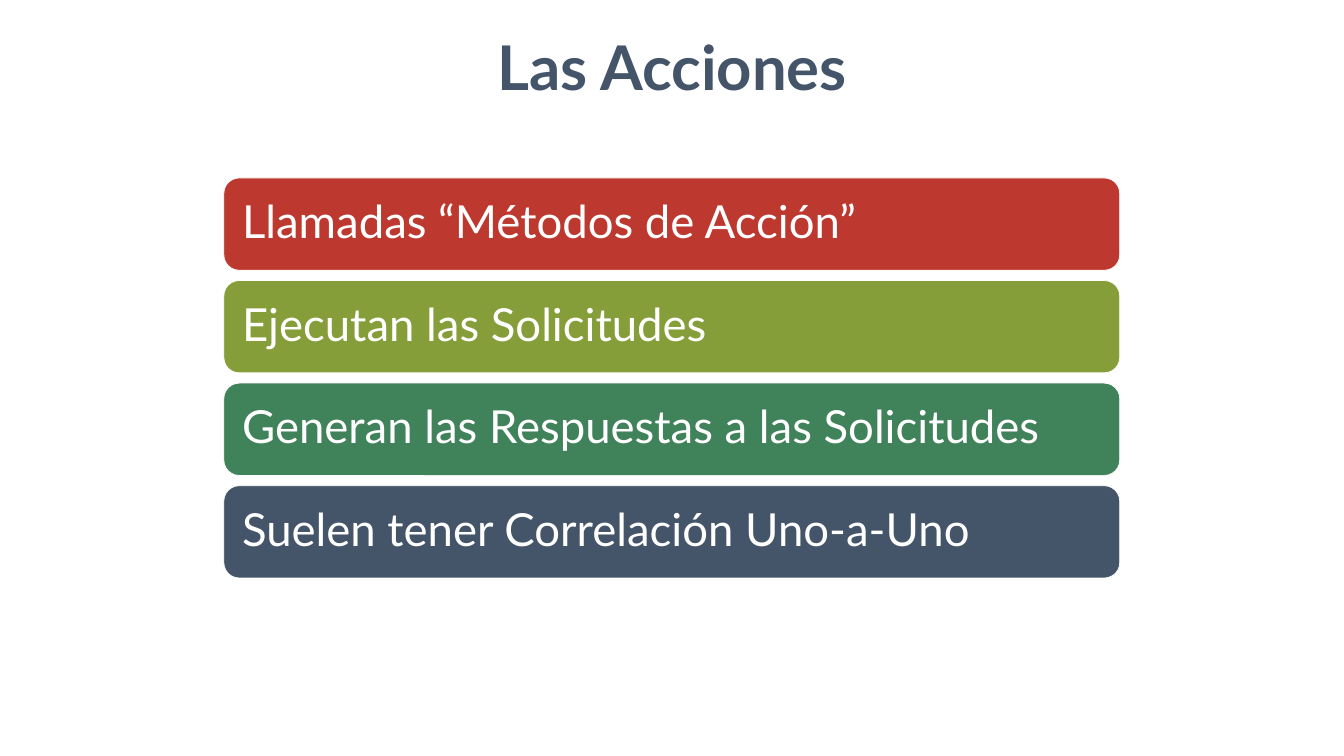
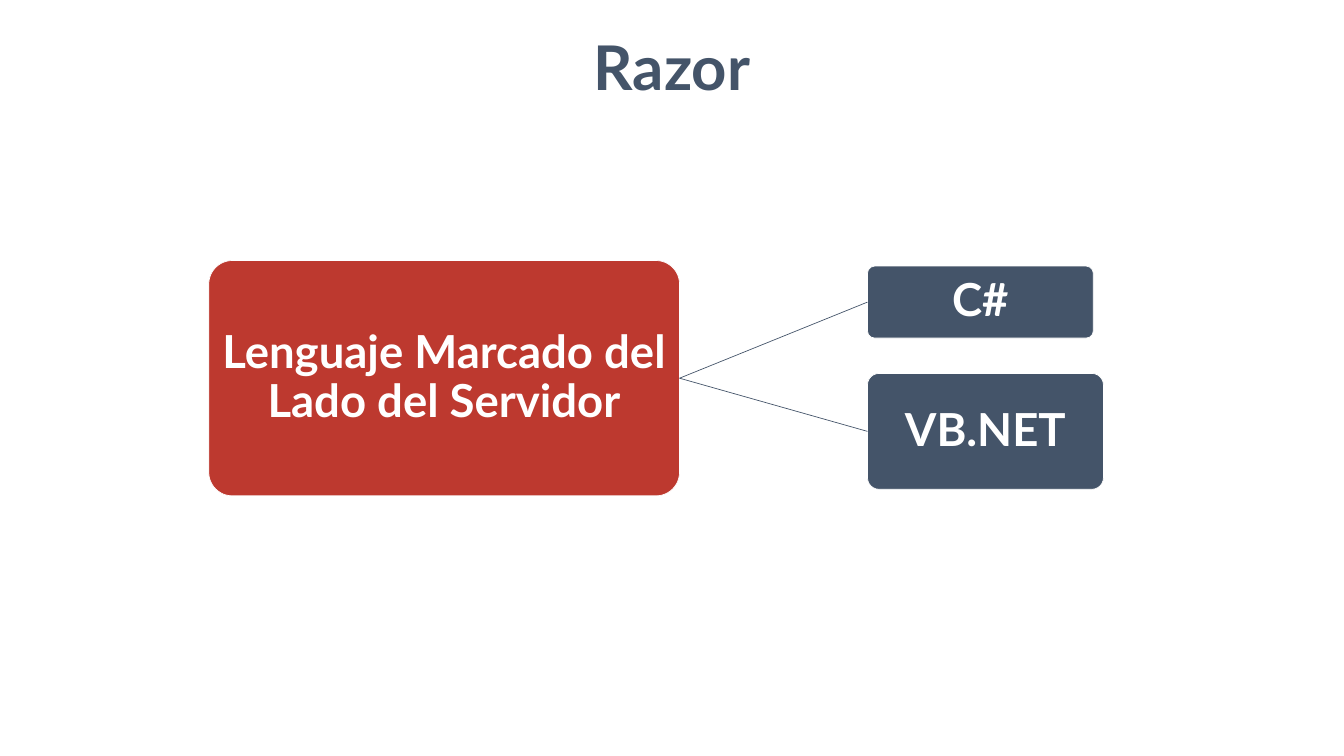
from dataclasses import dataclass

from lxml import etree
from pptx import Presentation
from pptx.dml.color import RGBColor
from pptx.enum.shapes import MSO_CONNECTOR, MSO_SHAPE
from pptx.enum.text import MSO_ANCHOR, MSO_AUTO_SIZE, PP_ALIGN
from pptx.oxml.ns import qn
from pptx.util import Cm, Pt

ROUNDED = MSO_SHAPE.ROUNDED_RECTANGLE
STRAIGHT = MSO_CONNECTOR.STRAIGHT
TOP, MIDDLE = MSO_ANCHOR.TOP, MSO_ANCHOR.MIDDLE
LEFT, CENTER = PP_ALIGN.LEFT, PP_ALIGN.CENTER
NO_FIT = MSO_AUTO_SIZE.NONE

FONT = "Lato"
RED, OLIVE, GREEN, SLATE, WHITE = "BD392F", "869E39", "40825A", "445469", "FFFFFF"
TITLE_SIZE, LABEL_SIZE = 88, 65
LEFT_SITE, RIGHT_SITE = 1, 3

ACTIONS = [
    ("Llamadas “Métodos de Acción”", RED),
    ("Ejecutan las Solicitudes", OLIVE),
    ("Generan las Respuestas a las Solicitudes", GREEN),
    ("Suelen tener Correlación Uno-a-Uno", SLATE),
]
ACTION_TOP, ACTION_PITCH = 8.97, 5.17


@dataclass
class Card:
    """A rounded box with a label; lengths are in centimetres."""

    text: str
    fill: str
    left: float
    top: float
    width: float
    height: float
    corner: float = 0.1
    inset: float = 0.13
    align: PP_ALIGN = CENTER
    bold: bool = True


LANGUAGE = Card("Lenguaje Marcado del Lado del Servidor", RED, 10.52, 13.13, 23.72, 11.86)
SYNTAXES = [
    Card("C#", SLATE, 43.71, 13.41, 11.38, 3.63),
    Card("VB.NET", SLATE, 43.71, 18.82, 11.89, 5.84),
]


def color(value: str) -> RGBColor:
    """Turn a hex string into a colour."""
    return RGBColor.from_string(value)


def style_paragraph(para, size: float, value: str, bold: bool, align: PP_ALIGN) -> None:
    """Set the font and alignment of a paragraph."""
    para.alignment = align
    para.font.name = FONT
    para.font.size = Pt(size)
    para.font.bold = bold
    para.font.color.rgb = color(value)


def add_titled_page(deck, text: str):
    """Add a title-only slide and format its title."""
    page = deck.slides.add_slide(deck.slide_layouts[5])
    title = page.shapes.title
    title.left, title.top, title.width, title.height = Cm(16.69), Cm(1.35), Cm(34.34), Cm(4.01)
    frame = title.text_frame
    frame.text = text
    frame.auto_size = NO_FIT
    frame.vertical_anchor = TOP
    style_paragraph(frame.paragraphs[0], TITLE_SIZE, SLATE, True, CENTER)
    return page


def add_card(page, card: Card):
    """Draw a card and return its shape."""
    box = page.shapes.add_shape(
        ROUNDED, Cm(card.left), Cm(card.top), Cm(card.width), Cm(card.height)
    )
    box.adjustments[0] = card.corner
    box.shadow.inherit = False
    box.fill.solid()
    box.fill.fore_color.rgb = color(card.fill)
    box.line.color.rgb = color(WHITE)
    box.line.width = Pt(1)
    frame = box.text_frame
    frame.text = card.text
    frame.word_wrap = True
    frame.vertical_anchor = MIDDLE
    frame.margin_left = frame.margin_right = Cm(card.inset)
    frame.margin_top = frame.margin_bottom = Cm(card.inset)
    para = frame.paragraphs[0]
    para.line_spacing = 0.9
    style_paragraph(para, LABEL_SIZE, WHITE, card.bold, card.align)
    return box


def link_boxes(page, parent, child) -> None:
    """Join the right side of one box to the left side of another."""
    link = page.shapes.add_connector(STRAIGHT, 0, 0, 0, 0)
    link.begin_connect(parent, RIGHT_SITE)
    link.end_connect(child, LEFT_SITE)
    link.line.color.rgb = color(SLATE)
    link.line.width = Pt(1)
    etree.SubElement(link._element.spPr, qn("a:effectLst"))


def build_actions(deck) -> None:
    """Build the slide that lists what actions do."""
    page = add_titled_page(deck, "Las Acciones")
    for row, (text, fill) in enumerate(ACTIONS):
        top = ACTION_TOP + row * ACTION_PITCH
        add_card(page, Card(text, fill, 11.28, top, 45.14, 4.65, 0.1667, 0.69, LEFT, False))


def build_razor(deck) -> None:
    """Build the slide that links the markup language to its syntaxes."""
    page = add_titled_page(deck, "Razor")
    language = add_card(page, LANGUAGE)
    for syntax in SYNTAXES:
        link_boxes(page, language, add_card(page, syntax))


def main() -> None:
    """Build and save the deck."""
    deck = Presentation()
    deck.slide_width, deck.slide_height = Cm(67.72), Cm(38.1)
    build_actions(deck)
    build_razor(deck)
    deck.save("out.pptx")


if __name__ == "__main__":
    main()
